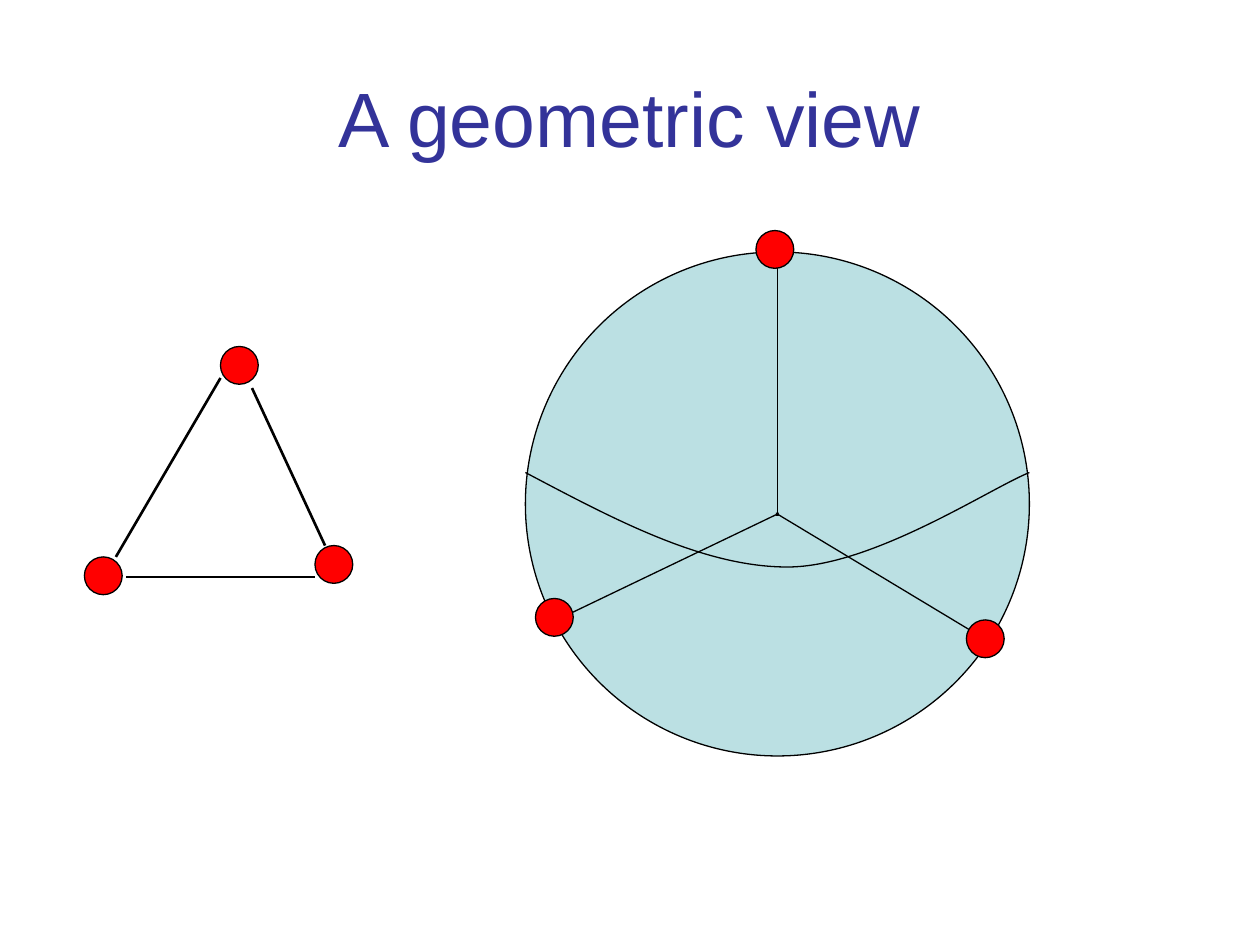
from lxml import etree
from pptx import Presentation
from pptx.dml.color import RGBColor
from pptx.enum.shapes import MSO_CONNECTOR, MSO_SHAPE
from pptx.enum.text import MSO_ANCHOR, PP_ALIGN
from pptx.oxml.ns import qn
from pptx.util import Inches, Pt

OVAL = MSO_SHAPE.OVAL
LINE = MSO_CONNECTOR.STRAIGHT
MIDDLE = MSO_ANCHOR.MIDDLE
CENTER = PP_ALIGN.CENTER
BLACK = RGBColor(0x00, 0x00, 0x00)
NAVY = RGBColor(0x33, 0x33, 0x99)
AQUA = RGBColor(0xBB, 0xE0, 0xE3)
RED = RGBColor(0xFF, 0x00, 0x00)

deck = Presentation()
deck.slide_width, deck.slide_height = Inches(10), Inches(7.5)
shapes = deck.slides.add_slide(deck.slide_layouts[6]).shapes


def add_disc(left, top, size, color):
    disc = shapes.add_shape(OVAL, Inches(left), Inches(top), Inches(size), Inches(size))
    disc.shadow.inherit = False
    disc.fill.solid()
    disc.fill.fore_color.rgb = color
    disc.line.color.rgb = BLACK
    disc.line.width = Pt(0.75)
    return disc


def set_text(shape, text, size, color, wrap):
    frame = shape.text_frame
    frame.word_wrap = wrap
    frame.vertical_anchor = MIDDLE
    para = frame.paragraphs[0]
    para.alignment = CENTER
    run = para.add_run()
    run.text = text
    style = {"name": "Arial", "size": Pt(size), "bold": False}
    for key, value in style.items():
        setattr(run.font, key, value)
    run.font.color.rgb = color


# Title
title = shapes.add_textbox(Inches(0.5), Inches(0.3), Inches(9), Inches(1.25))
set_text(title, "A geometric view", 44, NAVY, True)

# Sphere with its center point
sphere = add_disc(4.17, 2, 4, AQUA)
set_text(sphere, ".", 18, BLACK, False)

# Equator: two cubic curves, three points each
points = [(4.87, 4.12), (5.58, 4.5), (6.25, 4.5),
          (6.92, 4.5), (7.85, 3.88), (8.17, 3.75)]
pen = shapes.build_freeform(Inches(4.17), Inches(3.75))
pen.add_line_segments([(Inches(x), Inches(y)) for x, y in points], close=False)
curve = pen.convert_to_shape()
curve.shadow.inherit = False
curve.fill.background()
curve.line.color.rgb = BLACK
curve.line.width = Pt(0.75)
track = next(curve.element.iter(qn("a:path")))
steps = track.findall(qn("a:lnTo"))
for start in range(0, len(steps), 3):
    bend = etree.SubElement(track, qn("a:cubicBezTo"))
    for step in steps[start:start + 3]:
        bend.append(step[0])
        track.remove(step)

# Spokes of the sphere, then sides of the triangle
hub = (6.17, 4.08)
lines = [
    ((4.42, 4.92), hub, 0.75),
    ((7.83, 5.08), hub, 0.75),
    ((6.17, 2), hub, 0.75),
    ((1, 4.58), (2.5, 4.58), 1.5),
    ((2, 3.08), (2.58, 4.33), 1.5),
    ((0.92, 4.42), (1.75, 3), 1.5),
]
for (x1, y1), (x2, y2), width in lines:
    line = shapes.add_connector(LINE, Inches(x1), Inches(y1), Inches(x2), Inches(y2))
    line.line.color.rgb = BLACK
    line.line.width = Pt(width)
    etree.SubElement(line.element.spPr, qn("a:effectLst"))

# Nodes of the triangle, then of the sphere
nodes = [(2.5, 4.33), (0.67, 4.42), (1.75, 2.75),
         (4.25, 4.75), (7.67, 4.92), (6, 1.83)]
for left, top in nodes:
    add_disc(left, top, 0.3, RED)

deck.save("out.pptx")
